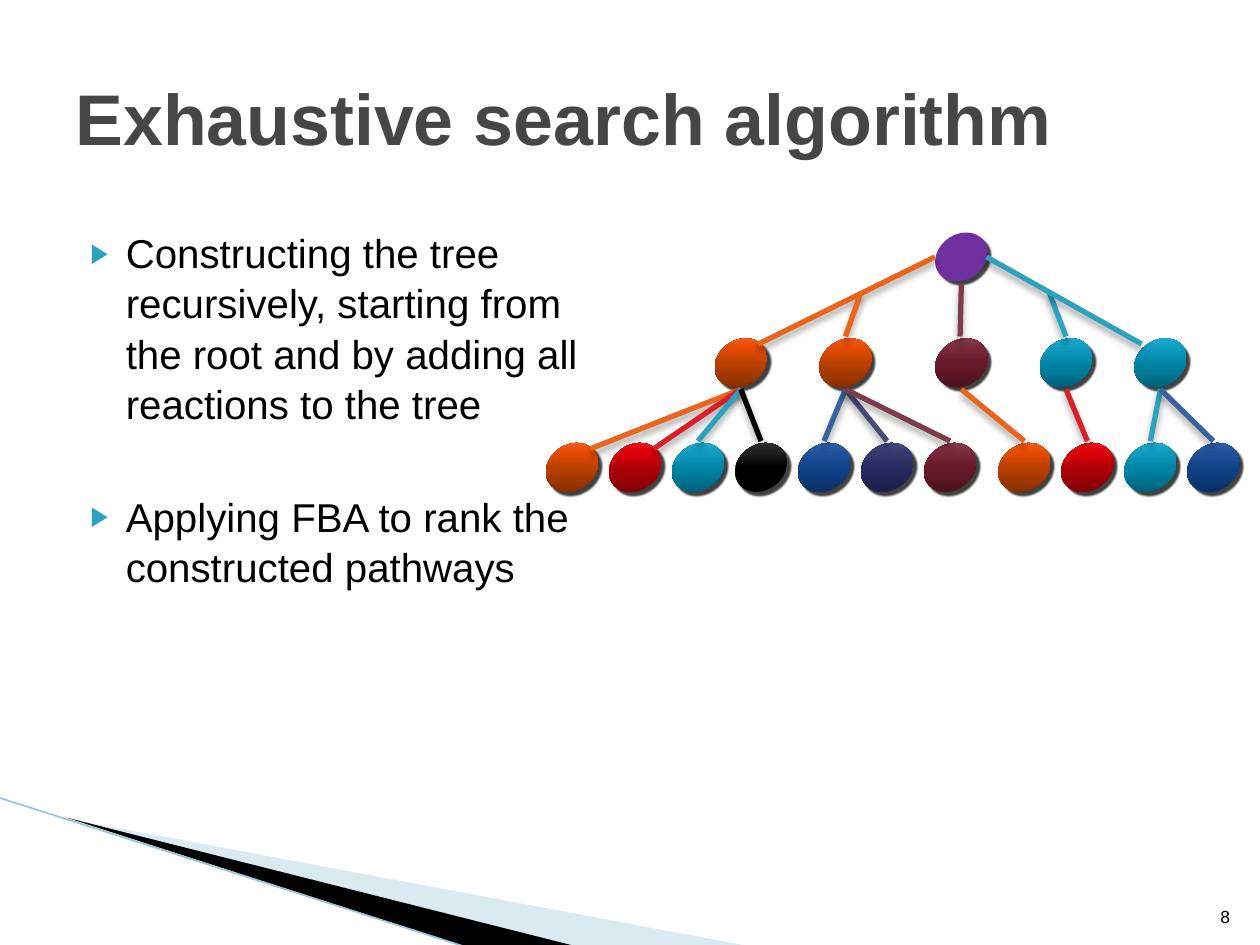
import typing
from dataclasses import dataclass

import lxml.etree
import pptx
import pptx.dml.color
import pptx.enum.shapes
import pptx.enum.text
import pptx.oxml
import pptx.oxml.ns
import pptx.util

Inches, Pt = pptx.util.Inches, pptx.util.Pt
RGB = pptx.dml.color.RGBColor.from_string
Align, Anchor = pptx.enum.text.PP_ALIGN, pptx.enum.text.MSO_ANCHOR
A_NS = pptx.oxml.ns.nsdecls("a")
Point = tuple[float, float]


@dataclass(frozen=True)
class Theme:
    font: str = "Arial"
    title: str = "464646"
    text: str = "000000"
    accent: str = "2DA2BF"
    wedge: str = "A0CBDC"
    stripe: str = "97C5D8"
    title_size: float = 41
    body_size: float = 23
    number_size: float = 10
    edge_width: float = 3


class Hue(typing.NamedTuple):
    edge: str
    shades: tuple[str, ...]  # from bottom to top of a node


class Leaf(typing.NamedTuple):
    x: float
    hue: Hue
    far: bool = False  # edge meets the upper right of the node


class Branch(typing.NamedTuple):
    x: float
    hue: Hue
    start: Point
    end: Point
    leaves: list[Leaf]


THEME = Theme()
PURPLE = Hue("7030A0", ("7030A0",))
ORANGE = Hue("EB641B", ("732800", "B94100", "E64900", "FF6933"))
RED = Hue("DA1F28", ("6D0005", "B00008", "DA0008", "FF2429"))
TEAL = Hue("2DA2BF", ("005367", "0086A7", "0E9ABE", "2CB9E3"))
BLACK = Hue("000000", ("000000", "000000", "1D1D1D", "424242"))
BLUE = Hue("39639D", ("072956", "104288", "205199", "3D6BB9"))
INDIGO = Hue("474B78", ("171A3D", "262B61", "353970", "51568D"))
MAROON = Hue("7D3C4A", ("420F1A", "681A2B", "772939", "944755"))

# Tree layout: centres of the nodes
STEP, RADIUS = 0.5, 0.21
ROOT_X, ROOT_Y, BRANCH_Y, LEAF_Y = 7.63, 2.04, 2.88, 3.71
NODE_W, NODE_H, TILT = 0.44, 0.36, -35


def leaf_row(x: float, *hues: Hue, far: int = 0) -> list[Leaf]:
    return [Leaf(x + i * STEP, hue, i < far) for i, hue in enumerate(hues)]


BRANCHES = [
    Branch(5.88, ORANGE, (7.42, 2.04), (6.02, 2.73),
           leaf_row(4.54, ORANGE, RED, TEAL, BLACK, far=2)),
    Branch(6.71, ORANGE, (6.83, 2.33), (6.71, 2.67),
           leaf_row(6.54, BLUE, INDIGO, MAROON)),
    Branch(7.63, MAROON, (7.63, 2.25), (7.62, 2.67), leaf_row(8.13, ORANGE)),
    Branch(8.46, TEAL, (8.33, 2.33), (8.46, 2.67), leaf_row(8.63, RED)),
    Branch(9.21, TEAL, (7.83, 2.04), (9.06, 2.73), leaf_row(9.13, TEAL, BLUE)),
]


def add_effects(sp_pr, color: str = "", alpha: int = 0, blur: float = 0,
                dist: float = 0, angle: int = 0) -> None:
    shadow = color and (
        f'<a:outerShdw blurRad="{Pt(blur)}" dist="{Pt(dist)}" dir="{angle * 60000}" '
        f'algn="ctr" rotWithShape="0"><a:srgbClr val="{color}">'
        f'<a:alpha val="{alpha * 1000}"/></a:srgbClr></a:outerShdw>')
    sp_pr.append(pptx.oxml.parse_xml(f"<a:effectLst {A_NS}>{shadow}</a:effectLst>"))


def add_line(s, start: Point, end: Point, color: str, width: float):
    line = s.shapes.add_connector(pptx.enum.shapes.MSO_CONNECTOR.STRAIGHT,
                                  *(Inches(v) for v in (*start, *end)))
    line.line.color.rgb = RGB(color)
    line.line.width = Pt(width)
    return line


def add_edge(s, start: Point, end: Point, hue: Hue) -> None:
    edge = add_line(s, start, end, hue.edge, THEME.edge_width)
    add_effects(edge._element.spPr, "000000", 35, blur=4, dist=3, angle=90)


def add_node(s, x: float, y: float, hue: Hue) -> None:
    sp = s.shapes.add_shape(pptx.enum.shapes.MSO_SHAPE.OVAL,
                            Inches(x - NODE_W / 2), Inches(y - NODE_H / 2),
                            Inches(NODE_W), Inches(NODE_H))
    sp.rotation = TILT
    sp.line.fill.background()
    if len(hue.shades) == 1:
        sp.fill.solid()
        sp.fill.fore_color.rgb = RGB(hue.shades[0])
    else:
        stops = "".join(f'<a:gs pos="{pos * 1000}"><a:srgbClr val="{c}"/></a:gs>'
                        for pos, c in zip((0, 50, 70, 100), hue.shades))
        sp._element.spPr.find(pptx.oxml.ns.qn("a:ln")).addprevious(pptx.oxml.parse_xml(
            f'<a:gradFill {A_NS} rotWithShape="0"><a:gsLst>{stops}</a:gsLst>'
            '<a:lin ang="16200000" scaled="0"/></a:gradFill>'))
    add_effects(sp._element.spPr, "000000", 75, blur=1, dist=3, angle=45)


def add_wedge(s, points: list[Point], color: str, alpha: int = 100) -> None:
    first, *rest = [(Inches(x), Inches(y)) for x, y in points]
    builder = s.shapes.build_freeform(*first)
    builder.add_line_segments(rest, close=True)
    sp = builder.convert_to_shape()
    sp.shadow.inherit = False
    sp.line.fill.background()
    sp.fill.solid()
    sp.fill.fore_color.rgb = RGB(color)
    clr = sp._element.spPr.find(".//" + pptx.oxml.ns.qn("a:srgbClr"))
    lxml.etree.SubElement(clr, pptx.oxml.ns.qn("a:alpha"), val=str(alpha * 1000))


def add_bullet(p) -> None:
    p_pr = p._p.get_or_add_pPr()
    p_pr.set("marL", str(Inches(0.4)))
    p_pr.set("indent", str(Inches(-0.28)))
    for xml in (f'<a:buClr {A_NS}><a:srgbClr val="{THEME.accent}"/></a:buClr>',
                f'<a:buSzPct {A_NS} val="68000"/>',
                f'<a:buFont {A_NS} typeface="{THEME.font}"/>',
                f'<a:buChar {A_NS} char="▶"/>'):
        p_pr.append(pptx.oxml.parse_xml(xml))


def add_text(s, box: tuple[float, ...], *paragraphs: str, size: float,
             color: str = THEME.text, bold: bool = False, align=Align.LEFT,
             anchor=Anchor.TOP, bullets: bool = False, line_spacing: float = 1,
             before: tuple[float, ...] = (0,)) -> None:
    tf = s.shapes.add_textbox(*(Inches(v) for v in box)).text_frame
    tf.word_wrap = True
    tf.vertical_anchor = anchor
    for i, (text, gap) in enumerate(zip(paragraphs, before)):
        p = tf.add_paragraph() if i else tf.paragraphs[0]
        p.alignment, p.space_before, p.line_spacing = align, Pt(gap), line_spacing
        if bullets:
            add_bullet(p)
        r = p.add_run()
        r.text = text
        r.font.name, r.font.size, r.font.bold = THEME.font, Pt(size), bold
        r.font.color.rgb = RGB(color)


def add_tree(s) -> None:
    add_node(s, ROOT_X, ROOT_Y, PURPLE)
    for branch in BRANCHES:
        add_node(s, branch.x, BRANCH_Y, branch.hue)
        for leaf in branch.leaves:
            add_node(s, leaf.x, LEAF_Y, leaf.hue)
    for branch in BRANCHES:
        add_edge(s, branch.start, branch.end, branch.hue)
        for leaf in branch.leaves:
            end = ((leaf.x + 0.15, LEAF_Y - 0.15) if leaf.far
                   else (leaf.x, LEAF_Y - RADIUS))
            add_edge(s, (branch.x, BRANCH_Y + RADIUS), end, leaf.hue)


def main() -> None:
    prs = pptx.Presentation()
    prs.slide_width, prs.slide_height = Inches(10), Inches(7.5)
    s = prs.slides.add_slide(prs.slide_layouts[6])

    # Corner decoration
    add_wedge(s, [(0.55, 6.5), (5.95, 7.51), (4.56, 7.51)], THEME.wedge, alpha=40)
    add_wedge(s, [(0.53, 6.49), (4.57, 7.51), (3.72, 7.52)], THEME.text)
    stripe = add_line(s, (-0.01, 6.33), (3.71, 7.52), THEME.stripe, 0.95)
    add_effects(stripe._element.spPr)

    # Text
    add_text(s, (0.5, 1.75, 4.33, 5.33),
             "Constructing the tree recursively, starting from the root and by "
             "adding all reactions to the tree",
             "Applying FBA to rank the constructed pathways",
             size=THEME.body_size, bullets=True, line_spacing=1.04, before=(4, 36))
    add_text(s, (9.46, 7.01, 0.4, 0.4), "8", size=THEME.number_size,
             align=Align.RIGHT, anchor=Anchor.BOTTOM)
    add_text(s, (0.5, 0.3, 8.83, 1.25), "Exhaustive search algorithm",
             size=THEME.title_size, color=THEME.title, bold=True, anchor=Anchor.MIDDLE)

    # Search tree
    add_tree(s)
    prs.save("out.pptx")


if __name__ == "__main__":
    main()
